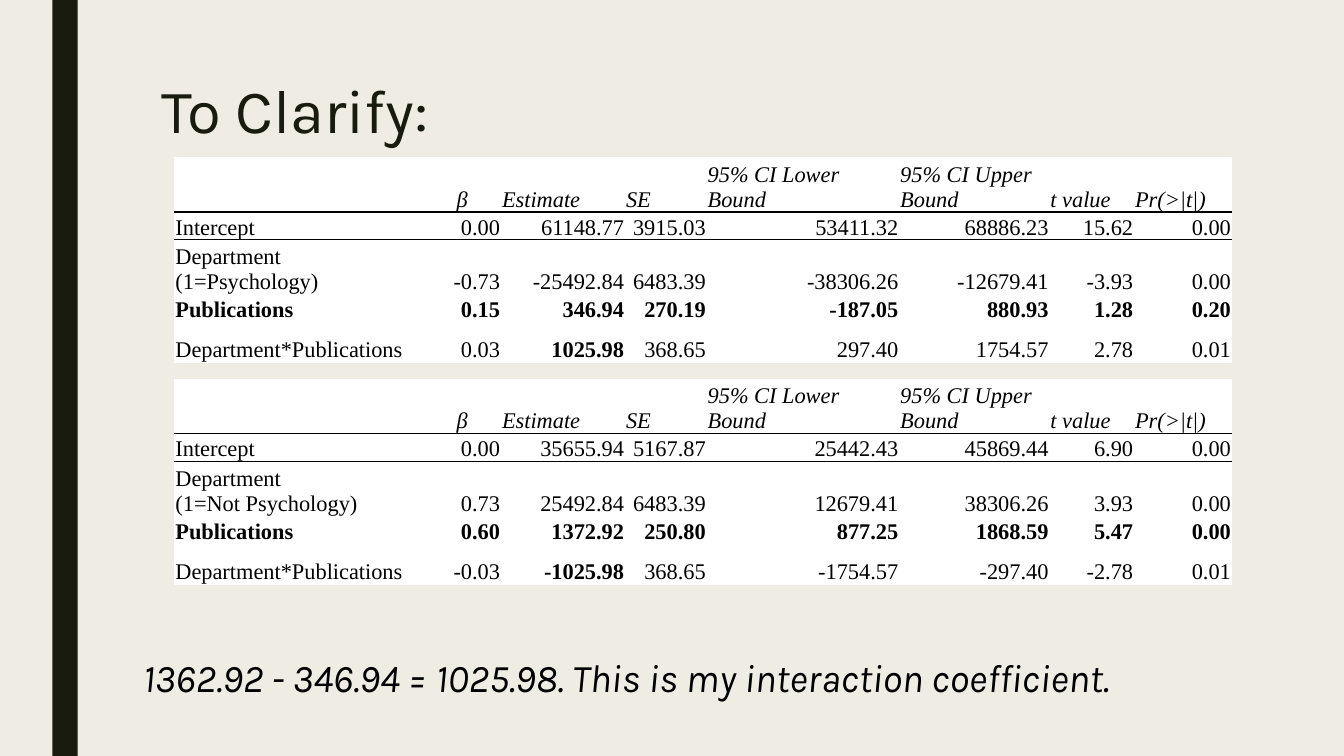
from lxml import etree
from pptx import Presentation
from pptx.dml.color import RGBColor
from pptx.enum.shapes import MSO_SHAPE as Shape
from pptx.enum.text import MSO_ANCHOR as Anchor, PP_ALIGN as Align
from pptx.oxml.ns import qn
from pptx.util import Inches, Pt

HEAD = ["", "β", "Estimate", "SE", "95% CI Lower Bound", "95% CI Upper Bound",
        "t value", "Pr(>|t|)"]
PSYCH = [
    HEAD,
    ["Intercept", "0.00", "61148.77", "3915.03", "53411.32", "68886.23", "15.62", "0.00"],
    ["Department\n(1=Psychology)", "-0.73", "-25492.84", "6483.39", "-38306.26",
     "-12679.41", "-3.93", "0.00"],
    ["Publications", "0.15", "346.94", "270.19", "-187.05", "880.93", "1.28", "0.20"],
    ["Department*Publications", "0.03", "1025.98", "368.65", "297.40", "1754.57",
     "2.78", "0.01"],
]
OTHER = [
    HEAD,
    ["Intercept", "0.00", "35655.94", "5167.87", "25442.43", "45869.44", "6.90", "0.00"],
    ["Department\n(1=Not Psychology)", "0.73", "25492.84", "6483.39", "12679.41",
     "38306.26", "3.93", "0.00"],
    ["Publications", "0.60", "1372.92", "250.80", "877.25", "1868.59", "5.47", "0.00"],
    ["Department*Publications", "-0.03", "-1025.98", "368.65", "-1754.57", "-297.40",
     "-2.78", "0.01"],
]
WIDTHS = [2.47, 0.77, 1.23, 0.81, 1.91, 1.49, 0.84, 0.97]
HEIGHTS = [0.47, 0.24, 0.47, 0.24, 0.4]
PLAIN = "{2D5ABB26-0587-4C30-8999-92F81FD0307C}"


def color(code):
    return RGBColor.from_string(code)


class Deck:
    """Hold the style and the current slide, and draw each kind of element."""

    ink, black, white, paper = "191B0E", "000000", "FFFFFF", "EFEDE3"
    sans, serif = "Karla", "Times New Roman"

    def __init__(self):
        self.show = Presentation()
        self.show.slide_width, self.show.slide_height = Inches(13.33), Inches(7.5)
        self.slide = self.show.slides.add_slide(self.show.slide_layouts[6])
        self.fill(self.slide.background, self.paper)

    def fill(self, item, code):
        item.fill.solid()
        item.fill.fore_color.rgb = color(code)

    def style(self, para, face, size, code, bold=False, slant=False):
        for run in para.runs:
            font = run.font
            font.name, font.size = face, Pt(size)
            font.bold, font.italic = bold, slant
            font.color.rgb = color(code)

    def bar(self, *box):
        shape = self.slide.shapes.add_shape(Shape.RECTANGLE, *map(Inches, box))
        shape.shadow.inherit = False
        self.fill(shape, self.ink)
        shape.line.fill.background()

    def text(self, words, box, size, code, slant=False, space=1.0):
        frame = self.slide.shapes.add_textbox(*map(Inches, box)).text_frame
        frame.word_wrap = True
        frame.text = words
        para = frame.paragraphs[0]
        para.line_spacing = space
        self.style(para, self.sans, size, code, slant=slant)

    def rule(self, cell, side):
        line = etree.Element(qn(f"a:{side}"), w=str(Pt(1)))
        solid = etree.SubElement(line, qn("a:solidFill"))
        etree.SubElement(solid, qn("a:srgbClr"), val=self.black)
        cell._tc.get_or_add_tcPr().insert(0, line)

    def cell(self, cell, words, row, col):
        cell.margin_left = cell.margin_right = cell.margin_top = Inches(0.01)
        cell.margin_bottom = 0
        cell.vertical_anchor = Anchor.BOTTOM
        self.fill(cell, self.white)
        if row < 2:
            self.rule(cell, "lnT" if row else "lnB")
        cell.text_frame.text = words
        bold = row == 3 or (row, col) == (4, 2)
        for para in cell.text_frame.paragraphs:
            if row and col:
                para.alignment = Align.RIGHT
            elif col == 1:
                para.alignment = Align.CENTER
            self.style(para, self.serif, 16, self.black, bold, row == 0)

    def table(self, data, left, top):
        box = map(Inches, (left, top, sum(WIDTHS), sum(HEIGHTS)))
        table = self.slide.shapes.add_table(len(data), len(HEAD), *box).table
        table.first_row = table.horz_banding = False
        table._tbl.tblPr.find(qn("a:tableStyleId")).text = PLAIN
        for col, width in zip(table.columns, WIDTHS):
            col.width = Inches(width)
        for row, height in zip(table.rows, HEIGHTS):
            row.height = Inches(height)
        for i, line in enumerate(data):
            for j, words in enumerate(line):
                self.cell(table.cell(i, j), words, i, j)


def main():
    deck = Deck()
    deck.bar(0.52, 0, 0.25, 7.5)
    deck.text("To Clarify:", (1.5, 0.75, 10.5, 1.62), 44, deck.ink, space=0.89)
    deck.table(PSYCH, 1.73, 1.56)
    deck.table(OTHER, 1.73, 3.76)
    deck.text("1362.92 - 346.94 = 1025.98. This is my interaction coefficient.",
              (1.32, 6.43, 11.58, 0.57), 28, deck.black, slant=True)
    deck.show.save("out.pptx")


if __name__ == "__main__":
    main()
